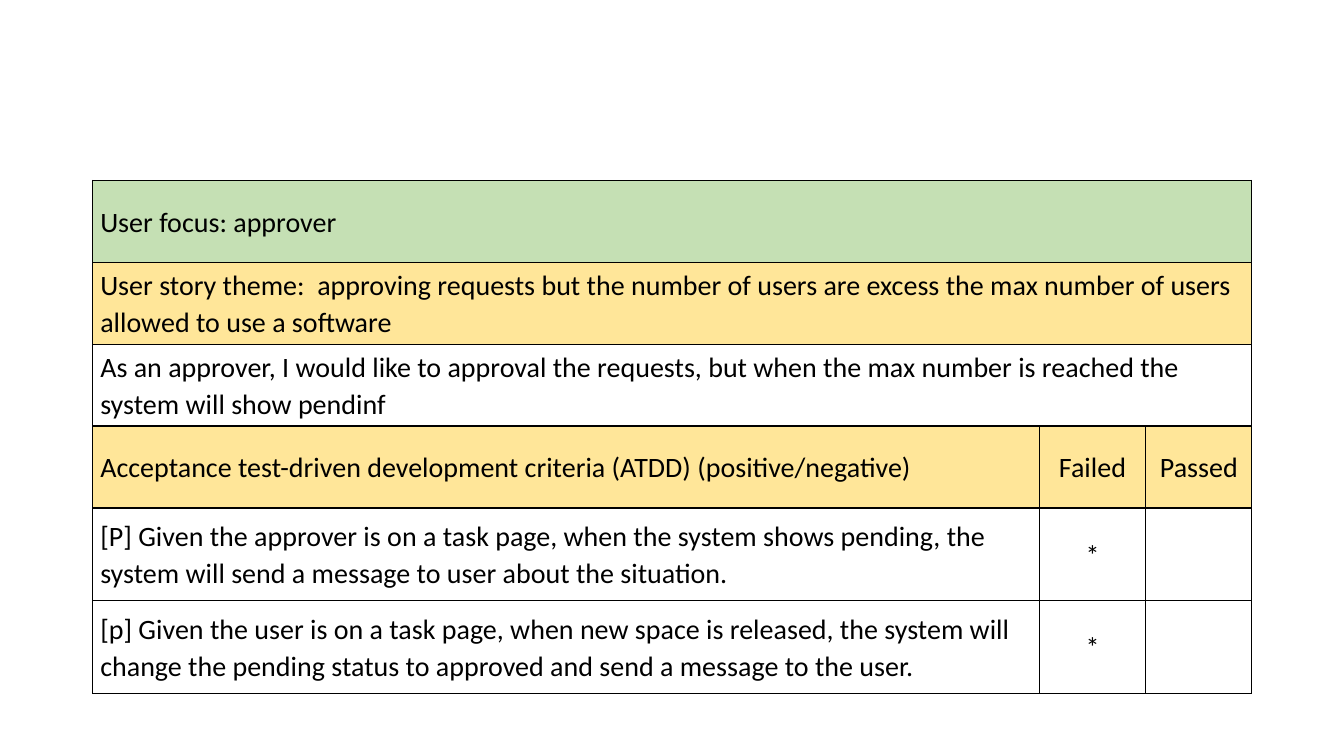
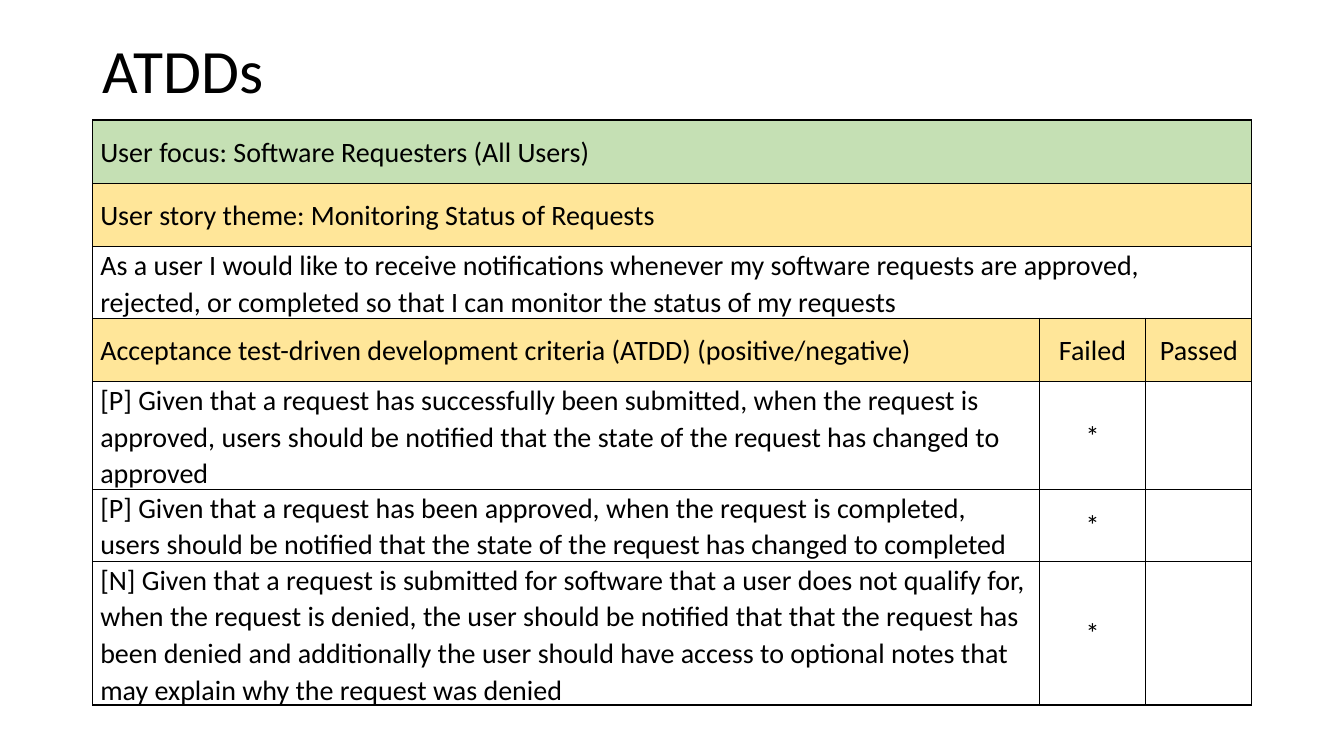
from dataclasses import dataclass

from lxml.etree import SubElement
from pptx import Presentation
from pptx.dml.color import RGBColor
from pptx.enum.text import MSO_ANCHOR, PP_ALIGN
from pptx.oxml.ns import qn
from pptx.util import Pt


@dataclass(frozen=True)
class Theme:
    font: str = "Calibri"
    title_size: float = 44
    body_size: float = 20
    border_width: float = 1
    ink: str = "000000"
    focus_fill: str = "C5E0B4"
    heading_fill: str = "FFE699"


class StoryDeck:
    left = 66.24
    column_widths = (676, 76.3, 75.7)

    def __init__(self, theme):
        self.theme = theme
        self.deck = Presentation()
        self.deck.slide_width = Pt(960)
        self.deck.slide_height = Pt(540)
        self.page = None

    def add_page(self):
        self.page = self.deck.slides.add_slide(self.deck.slide_layouts[6])

    def set_text(self, frame, text, size, spacing, alignment=PP_ALIGN.LEFT):
        frame.text = text
        frame.word_wrap = True
        for paragraph in frame.paragraphs:
            paragraph.line_spacing = spacing
            paragraph.alignment = alignment
            for span in paragraph.runs:
                span.font.name = self.theme.font
                span.font.size = Pt(size)
                span.font.color.rgb = RGBColor.from_string(self.theme.ink)

    def add_title(self, text):
        box = self.page.shapes.add_textbox(
            Pt(self.left), Pt(0), Pt(sum(self.column_widths)), Pt(104.4)
        )
        box.text_frame.vertical_anchor = MSO_ANCHOR.MIDDLE
        self.set_text(box.text_frame, text, self.theme.title_size, 0.9)

    def add_borders(self, cell):
        properties = cell._tc.get_or_add_tcPr()
        for position, side in enumerate(("lnL", "lnR", "lnT", "lnB")):
            line = SubElement(properties, qn(f"a:{side}"))
            line.set("w", str(Pt(self.theme.border_width)))
            fill = SubElement(line, qn("a:solidFill"))
            SubElement(fill, qn("a:srgbClr")).set("val", self.theme.ink)
            properties.insert(position, line)

    def style_cell(self, cell, text, fill, alignment):
        cell.margin_left = cell.margin_right = Pt(5.4)
        cell.margin_top = cell.margin_bottom = Pt(0)
        cell.vertical_anchor = MSO_ANCHOR.MIDDLE
        if fill:
            cell.fill.solid()
            cell.fill.fore_color.rgb = RGBColor.from_string(fill)
        else:
            cell.fill.background()
        self.set_text(cell.text_frame, text, self.theme.body_size, 1.07, alignment)
        self.add_borders(cell)

    def add_story_table(self, top, row_height, criterion_height, focus, story_theme, story, criteria):
        banners = [
            (f"User focus: {focus}", self.theme.focus_fill),
            (f"User story theme: {story_theme}", self.theme.heading_fill),
            (story, None),
        ]
        heading = ("Acceptance test-driven development criteria (ATDD) (positive/negative)", "Failed", "Passed")
        rows = [((text, "", ""), fill) for text, fill in banners]
        rows.append((heading, self.theme.heading_fill))
        rows += [((criterion, "*", ""), None) for criterion in criteria]
        heights = [row_height] * (len(banners) + 1) + [criterion_height] * len(criteria)

        table = self.page.shapes.add_table(
            len(rows), len(self.column_widths), Pt(self.left), Pt(top),
            Pt(sum(self.column_widths)), Pt(sum(heights)),
        ).table
        table.first_row = False
        table.horz_banding = False
        for column, width in zip(table.columns, self.column_widths):
            column.width = Pt(width)
        for row, height, (texts, fill) in zip(table.rows, heights, rows):
            row.height = Pt(height)
            for index, (cell, text) in enumerate(zip(row.cells, texts)):
                self.style_cell(cell, text, fill, PP_ALIGN.CENTER if index else PP_ALIGN.LEFT)
        for index in range(len(banners)):
            table.cell(index, 0).merge(table.cell(index, len(self.column_widths) - 1))


def main():
    stories = StoryDeck(Theme())

    stories.add_page()
    stories.add_story_table(
        top=128.9,
        row_height=58.5,
        criterion_height=66.2,
        focus="approver",
        story_theme=" approving requests but the number of users are excess the max number of users allowed to use a software",
        story="As an approver, I would like to approval the requests, but when the max number is reached the system will show pendinf",
        criteria=[
            "[P] Given the approver is on a task page, when the system shows pending, the system will send a message to user about the situation.",
            "[p] Given the user is on a task page, when new space is released, the system will change the pending status to approved and send a message to the user.",
        ],
    )

    stories.add_page()
    stories.add_title("ATDDs")
    stories.add_story_table(
        top=85.7,
        row_height=45.1,
        criterion_height=45.1,
        focus="Software Requesters (All Users)",
        story_theme="Monitoring Status of Requests",
        story="As a user I would like to receive notifications whenever my software requests are approved, rejected, or completed so that I can monitor the status of my requests",
        criteria=[
            "[P] Given that a request has successfully been submitted, when the request is approved, users should be notified that the state of the request has changed to approved",
            "[P] Given that a request has been approved, when the request is completed, users should be notified that the state of the request has changed to completed",
            "[N] Given that a request is submitted for software that a user does not qualify for, when the request is denied, the user should be notified that that the request has been denied and additionally the user should have access to optional notes that may explain why the request was denied",
        ],
    )

    stories.deck.save("out.pptx")


if __name__ == "__main__":
    main()
